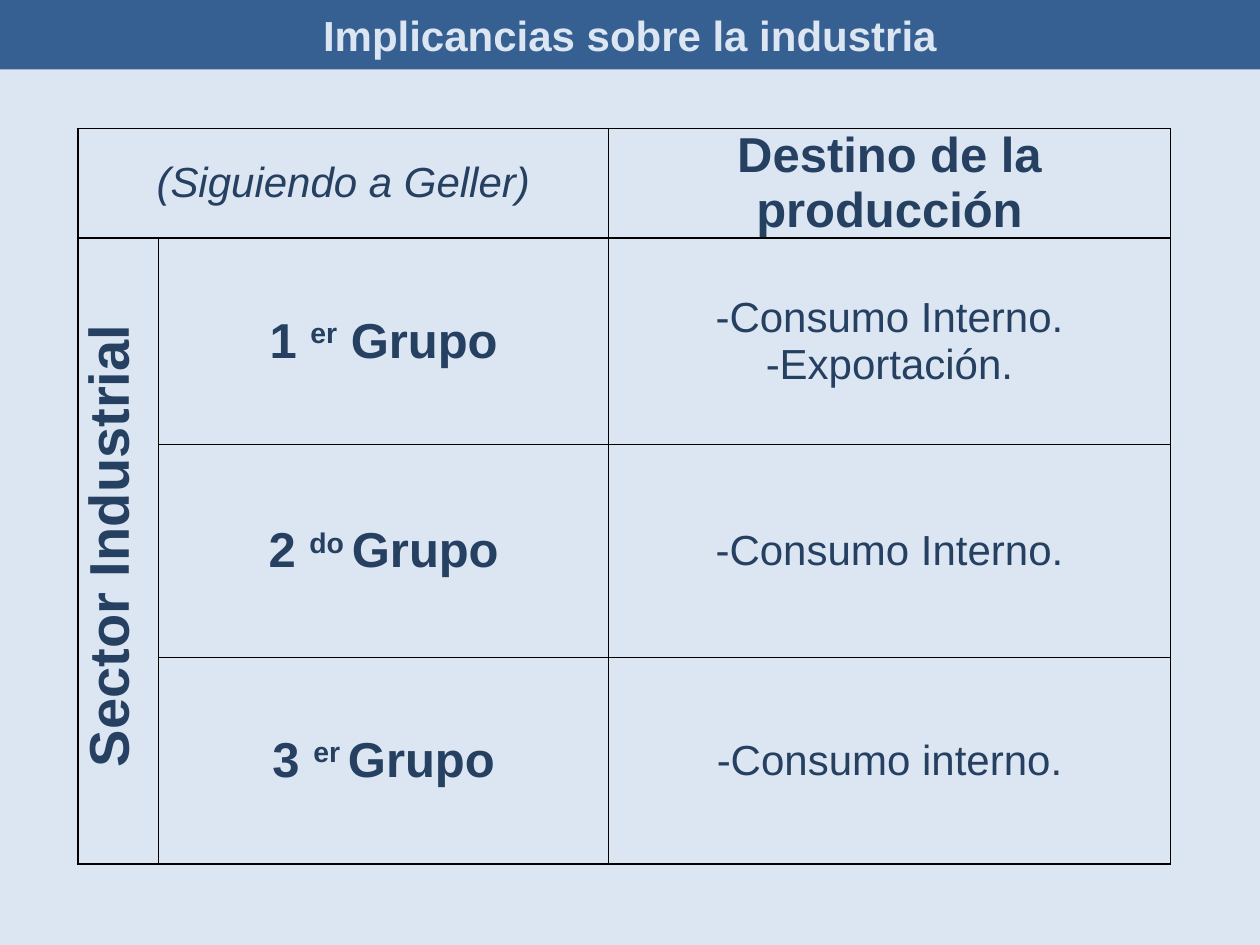
import pptx
import pptx.dml.color
import pptx.enum.text
import pptx.oxml
import pptx.oxml.ns
import pptx.util
from pptx.util import Inches

PALE, NAVY, BLUE = "DCE6F2", "254061", "376092"
CENTER = pptx.enum.text.PP_ALIGN.CENTER
MIDDLE = pptx.enum.text.MSO_ANCHOR.MIDDLE


def color(value):
    return pptx.dml.color.RGBColor.from_string(value)


def format_paragraph(paragraph, size, ink, bold=False, italic=False):
    paragraph.alignment = CENTER
    for run in paragraph.runs:
        run.font.name = "Arial"
        run.font.size = pptx.util.Pt(size)
        run.font.bold = bold
        run.font.italic = italic
        run.font.color.rgb = color(ink)


presentation = pptx.Presentation()
presentation.slide_width = Inches(10)
presentation.slide_height = Inches(7.5)
slide = presentation.slides.add_slide(presentation.slide_layouts[5])
slide.background.fill.solid()
slide.background.fill.fore_color.rgb = color(PALE)

# Title bar
title = slide.shapes.title
title.left, title.top = Inches(0), Inches(0)
title.width, title.height = Inches(10), Inches(0.55)
title.fill.solid()
title.fill.fore_color.rgb = color(BLUE)
title.text_frame.text = "Implicancias sobre la industria"
title.text_frame.vertical_anchor = MIDDLE
format_paragraph(title.text_frame.paragraphs[0], 24, PALE, bold=True)

# Table grid
column_widths = [0.64, 3.57, 4.46]
row_heights = [0.82, 1.64, 1.69, 1.64]
table = slide.shapes.add_table(
    len(row_heights), len(column_widths), Inches(0.62), Inches(1.02),
    Inches(sum(column_widths)), Inches(sum(row_heights))).table
for column, width in zip(table.columns, column_widths):
    column.width = Inches(width)
for row, height in zip(table.rows, row_heights):
    row.height = Inches(height)
table.cell(0, 0).merge(table.cell(0, 1))
table.cell(1, 0).merge(table.cell(3, 0))

for cell in table.iter_cells():
    cell.margin_left = cell.margin_right = Inches(0.03)
    cell.margin_top = cell.margin_bottom = 0
    cell.vertical_anchor = MIDDLE
    properties = cell._tc.get_or_add_tcPr()
    for side in ("lnL", "lnR", "lnT", "lnB"):
        properties.append(pptx.oxml.parse_xml(
            f'<a:{side} {pptx.oxml.ns.nsdecls("a")} w="12700"><a:solidFill>'
            f'<a:srgbClr val="000000"/></a:solidFill></a:{side}>'))
    cell.fill.solid()
    cell.fill.fore_color.rgb = color(PALE)

# Headings
source_cell = table.cell(0, 0)
source_cell.text_frame.text = "(Siguiendo a Geller)"
format_paragraph(source_cell.text_frame.paragraphs[0], 24, NAVY, italic=True)

destination_cell = table.cell(0, 2)
destination_cell.text_frame.text = "Destino de la producción"
format_paragraph(destination_cell.text_frame.paragraphs[0], 28, NAVY, bold=True)

sector_cell = table.cell(1, 0)
sector_cell.text_frame.text = "Sector Industrial"
sector_cell._tc.get_or_add_tcPr().set("vert", "vert270")
sector_paragraph = sector_cell.text_frame.paragraphs[0]
sector_paragraph._p.get_or_add_pPr().set("marL", str(Inches(0.08)))
format_paragraph(sector_paragraph, 32, NAVY, bold=True)

# Groups: number, raised ordinal ending, word; then destinations
groups = [
    (("1 ", "er", " Grupo"), "-Consumo Interno.\n-Exportación."),
    (("2 ", "do ", "Grupo"), "-Consumo Interno."),
    (("3 ", "er ", "Grupo"), "-Consumo interno."),
]
for row_index, (name_parts, destinations) in enumerate(groups, start=1):
    name_paragraph = table.cell(row_index, 1).text_frame.paragraphs[0]
    for part in name_parts:
        name_paragraph.add_run().text = part
    format_paragraph(name_paragraph, 28, NAVY, bold=True)
    name_paragraph.runs[1]._r.get_or_add_rPr().set("baseline", "30000")

    text_frame = table.cell(row_index, 2).text_frame
    text_frame.text = destinations
    for paragraph in text_frame.paragraphs:
        format_paragraph(paragraph, 24, NAVY)

presentation.save("out.pptx")
